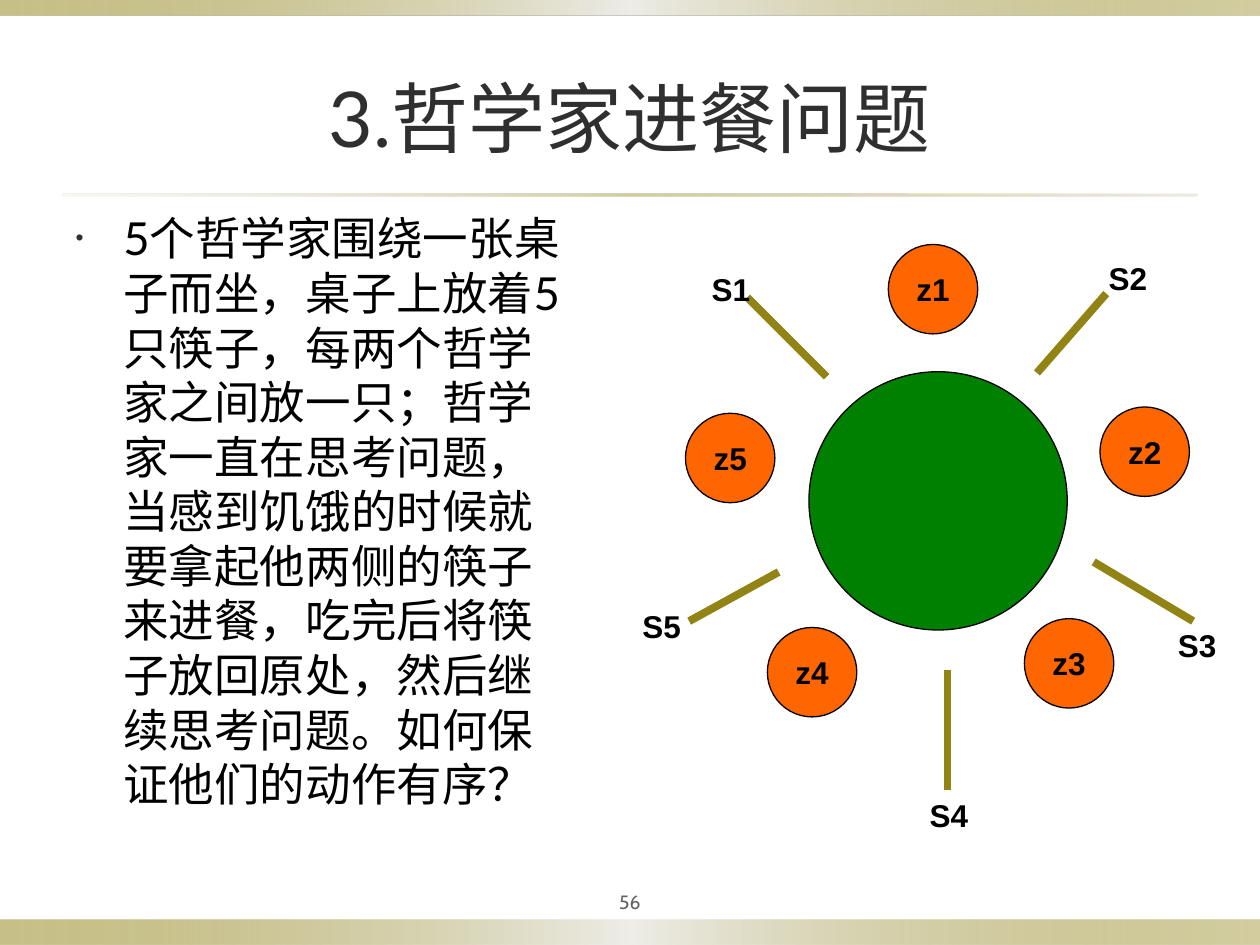
from lxml import etree
from pptx import Presentation
from pptx.dml.color import RGBColor
from pptx.enum.shapes import MSO_CONNECTOR, MSO_SHAPE
from pptx.enum.text import MSO_ANCHOR, MSO_AUTO_SIZE, PP_ALIGN
from pptx.oxml import parse_xml
from pptx.oxml.ns import nsdecls, qn
from pptx.util import Inches, Pt

OVAL, RECT = MSO_SHAPE.OVAL, MSO_SHAPE.RECTANGLE
LINE = MSO_CONNECTOR.STRAIGHT
MID, TOP = MSO_ANCHOR.MIDDLE, MSO_ANCHOR.TOP
MID_X, LEFT = PP_ALIGN.CENTER, PP_ALIGN.LEFT
FIXED = MSO_AUTO_SIZE.NONE

THEME = {
    "gold": "918415", "pale": "EEEDE8", "haze": "DCD9CC",
    "table": "008000", "seat": "FF6600", "ink": "000000",
    "title": {"size": 44, "name": "Lato", "color": "2F2F2F", "bold": False},
    "body": {"size": 26, "name": "Lato", "color": "000000", "bold": False},
    "page": {"size": 11, "name": "Cabin", "color": "636363", "bold": False},
    "label": {"size": 18, "name": "Arial", "color": "000000", "bold": True},
}


def write(shape, text, style, align=LEFT, anchor=TOP, wrap=True):
    """Put one styled paragraph into a shape and return it."""
    frame = shape.text_frame
    for key, value in {"auto_size": FIXED, "word_wrap": wrap,
                       "vertical_anchor": anchor}.items():
        setattr(frame, key, value)
    para = frame.paragraphs[0]
    para.alignment, para.space_before = align, Pt(0)
    run = para.add_run()
    run.text = text
    look = THEME[style]
    for key, value in {"size": Pt(look["size"]), "name": look["name"],
                       "bold": look["bold"]}.items():
        setattr(run.font, key, value)
    run.font.color.rgb = RGBColor.from_string(look["color"])
    return para


def add_oval(x, y, size, color):
    """Draw a filled circle with a thin outline."""
    oval = ring.add_shape(OVAL, Inches(x), Inches(y), Inches(size), Inches(size))
    oval.shadow.inherit = False
    oval.fill.solid()
    oval.fill.fore_color.rgb = RGBColor.from_string(color)
    oval.line.color.rgb = RGBColor.from_string(THEME["ink"])
    oval.line.width = Pt(0.75)
    return oval


deck = Presentation()
deck.slide_width, deck.slide_height = Inches(10), Inches(7.5)
slide = deck.slides.add_slide(deck.slide_layouts[1])
shapes = slide.shapes

# Gradient bands and the rule below the title: color and opacity per stop
gold, pale, haze = THEME["gold"], THEME["pale"], THEME["haze"]
band = [(gold, 50), (pale, 100), (gold, 40)]
rule = [(haze, 20), (gold, 40), (haze, 50)]
for x, y, w, h, stops in [(0, 7.3, 10, 0.2, band), (0, 0, 10, 0.12, band),
                          (0.5, 1.54, 9, 0.02, rule)]:
    bar = shapes.add_shape(RECT, Inches(x), Inches(y), Inches(w), Inches(h))
    bar.shadow.inherit = False
    bar.line.fill.background()
    marks = "".join(
        f'<a:gs pos="{i * 50000}"><a:srgbClr val="{color}">'
        f'<a:alpha val="{alpha * 1000}"/></a:srgbClr></a:gs>'
        for i, (color, alpha) in enumerate(stops))
    grad = parse_xml(f'<a:gradFill {nsdecls("a")}><a:gsLst>{marks}</a:gsLst>'
                     '<a:lin ang="0" scaled="0"/></a:gradFill>')
    bar.element.spPr.find(qn("a:prstGeom")).addnext(grad)

# Title and body
title, body = shapes.title, slide.placeholders[1]
for holder, x, y, w, h in [(title, 0.5, 0.3, 9, 1.25),
                           (body, 0.5, 1.62, 4.19, 5.36)]:
    holder.left, holder.top = Inches(x), Inches(y)
    holder.width, holder.height = Inches(w), Inches(h)
write(title, "3.哲学家进餐问题", "title", MID_X, MID)
para = write(body, "5个哲学家围绕一张桌子而坐，桌子上放着5只筷子，每两个哲学家之间放一只；"
             "哲学家一直在思考问题，当感到饥饿的时候就要拿起他两侧的筷子来进餐，"
             "吃完后将筷子放回原处，然后继续思考问题。如何保证他们的动作有序？", "body")
props = para._p.get_or_add_pPr()
props.set("marL", str(Inches(0.38)))
props.set("indent", str(-Inches(0.38)))
color = etree.SubElement(props, qn("a:buClr"))
etree.SubElement(color, qn("a:srgbClr"), val=THEME["title"]["color"])
etree.SubElement(props, qn("a:buSzPct"), val="50000")
etree.SubElement(props, qn("a:buChar"), char="•")

# Page number
page = shapes.add_textbox(Inches(4.5), Inches(7), Inches(1), Inches(0.31))
for side in ("left", "top", "right", "bottom"):
    setattr(page.text_frame, f"margin_{side}", Inches(0.05))
write(page, "56", "page", MID_X, MID)

# Round table with the five seats
ring = shapes.add_group_shape().shapes
add_oval(6.42, 2.95, 2.05, THEME["table"])
seats = [(7.05, 1.94), (8.73, 3.23), (8.13, 4.91), (6.09, 4.98), (5.44, 3.28)]
for i, (x, y) in enumerate(seats, 1):
    write(add_oval(x, y, 0.71, THEME["seat"]), f"z{i}", "label", MID_X, MID, False)

# Chopsticks: two line ends, then the label's corner
sticks = [
    (5.93, 2.36, 6.56, 2.99, 5.55, 2.09),
    (8.78, 2.33, 8.23, 2.96, 8.7, 2.01),
    (8.68, 4.46, 9.47, 4.93, 9.25, 4.92),
    (7.52, 5.32, 7.52, 6.27, 7.28, 6.27),
    (6.18, 4.54, 5.47, 4.93, 5, 4.77),
]
for i, (x1, y1, x2, y2, x, y) in enumerate(sticks, 1):
    stick = ring.add_connector(LINE, Inches(x1), Inches(y1), Inches(x2), Inches(y2))
    stick.line.color.rgb = RGBColor.from_string(gold)
    stick.line.width = Pt(4.5)
    etree.SubElement(stick._element.spPr, qn("a:effectLst"))
    label = ring.add_textbox(Inches(x), Inches(y), Inches(0.71), Inches(0.4))
    write(label, f"S{i}", "label")

deck.save("out.pptx")
